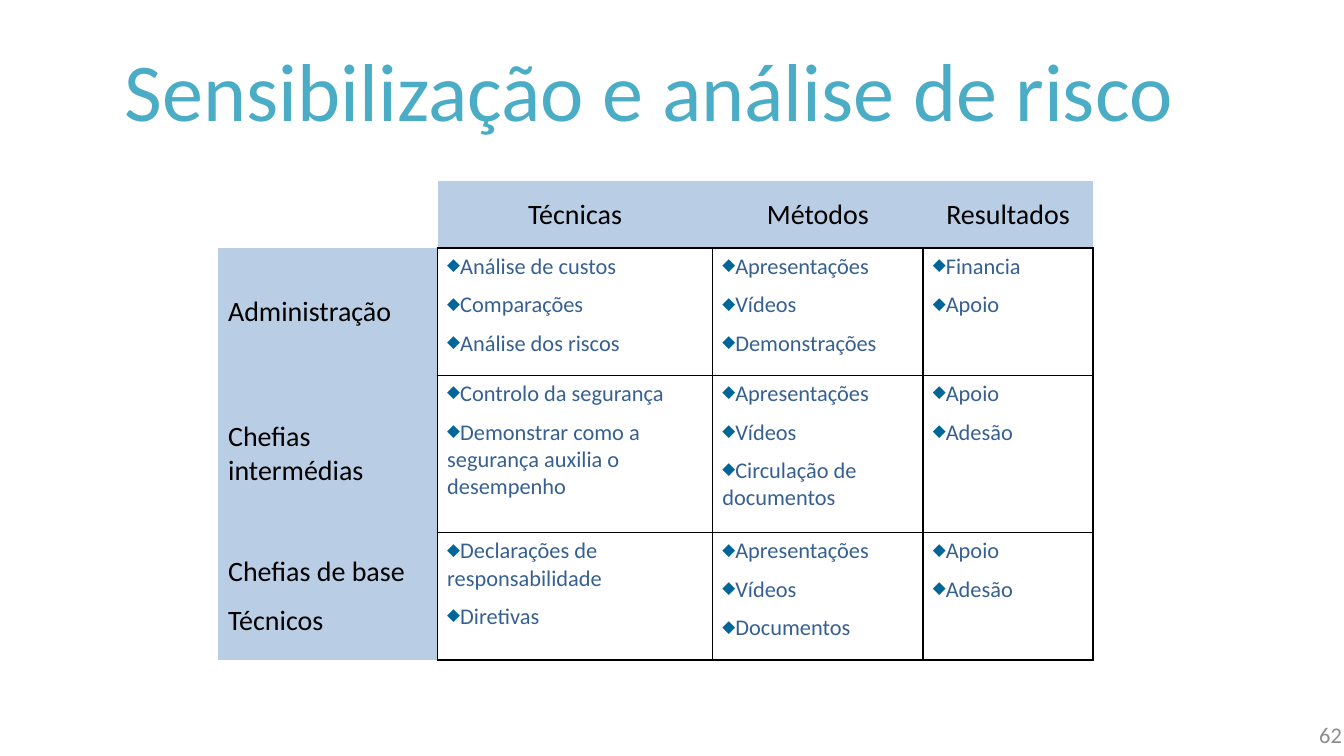
from dataclasses import dataclass

from lxml import etree
from pptx import Presentation
from pptx.dml.color import RGBColor
from pptx.enum.text import MSO_ANCHOR, PP_ALIGN
from pptx.oxml.ns import qn
from pptx.util import Pt

LEFT, CENTER, RIGHT = PP_ALIGN.LEFT, PP_ALIGN.CENTER, PP_ALIGN.RIGHT
TOP, MIDDLE = MSO_ANCHOR.TOP, MSO_ANCHOR.MIDDLE


@dataclass(frozen=True)
class Theme:
    font: str = "Calibri"
    title: str = "4BACC6"
    label: str = "000000"
    body: str = "376092"
    bullet: str = "006699"
    band: str = "B9CDE5"
    line: str = "000000"
    number: str = "8C8C8C"
    title_size: float = 44
    label_size: float = 15
    body_size: float = 12


THEME = Theme()

COLS = [117.4, 147.4, 112.8, 91]
ROWS = [36, 68.2, 84.2, 68.3]
GRID = [
    [[], ["Técnicas"], ["Métodos"], ["Resultados"]],
    [["Administração"],
     ["Análise de custos", "Comparações", "Análise dos riscos"],
     ["Apresentações", "Vídeos", "Demonstrações"],
     ["Financia", "Apoio"]],
    [["Chefias intermédias"],
     ["Controlo da segurança",
      "Demonstrar como a segurança auxilia o desempenho"],
     ["Apresentações", "Vídeos", "Circulação de documentos"],
     ["Apoio", "Adesão"]],
    [["Chefias de base", "Técnicos"],
     ["Declarações de responsabilidade", "Diretivas"],
     ["Apresentações", "Vídeos", "Documentos"],
     ["Apoio", "Adesão"]],
]


def write(frame, lines, size, color, align):
    frame.word_wrap = True
    frame.text = "\n".join(lines)
    for para in frame.paragraphs:
        para.alignment = align
        for run in para.runs:
            run.font.name = THEME.font
            run.font.size = Pt(size)
            run.font.color.rgb = RGBColor.from_string(color)


def place(shape, box):
    shape.left, shape.top, shape.width, shape.height = map(Pt, box)


def add_bullet(para):
    props = para._p.get_or_add_pPr()
    props.set("marL", "0")
    props.set("indent", "0")
    tint = etree.SubElement(props, qn("a:buClr"))
    etree.SubElement(tint, qn("a:srgbClr"), val=THEME.bullet)
    etree.SubElement(props, qn("a:buSzPct"), val="75000")
    etree.SubElement(props, qn("a:buChar"), char="◆")


def set_edges(cell, drawn):
    props = cell._tc.get_or_add_tcPr()
    for side in "LRTB":
        edge = etree.SubElement(props, qn(f"a:ln{side}"), w=str(Pt(1)))
        if side in drawn:
            fill = etree.SubElement(edge, qn("a:solidFill"))
            etree.SubElement(fill, qn("a:srgbClr"), val=THEME.line)
        else:
            etree.SubElement(edge, qn("a:noFill"))


def fill_cell(cell, lines, row, col):
    head, side = row == 0, col == 0
    label = head or side
    size = THEME.label_size if label else THEME.body_size
    color = THEME.label if label else THEME.body

    # Borders run only around the body cells
    if head:
        set_edges(cell, "" if side else "B")
    else:
        set_edges(cell, "R" if side else "LRTB")
    if label and lines:
        cell.fill.solid()
        cell.fill.fore_color.rgb = RGBColor.from_string(THEME.band)
    else:
        cell.fill.background()

    cell.margin_left = cell.margin_right = Pt(5.2)
    cell.margin_top = cell.margin_bottom = Pt(2.6)
    cell.vertical_anchor = MIDDLE if label else TOP
    write(cell.text_frame, lines, size, color, CENTER if head else LEFT)
    for para in cell.text_frame.paragraphs:
        para.space_before = Pt(size / 2)
        if not label:
            add_bullet(para)


def add_title(slide, box):
    title = slide.shapes.title
    place(title, box)
    title.text_frame.vertical_anchor = MIDDLE
    write(title.text_frame, ["Sensibilização e análise de risco"],
          THEME.title_size, THEME.title, CENTER)


def add_matrix(slide, box):
    left, top, width, height = box
    frame = slide.shapes.add_table(len(ROWS), len(COLS), *map(Pt, box))
    table = frame.table
    table.first_row = table.horz_banding = False
    # Tracks share the box in proportion
    for track, size in zip(table.columns, COLS):
        track.width = Pt(size * width / sum(COLS))
    for track, size in zip(table.rows, ROWS):
        track.height = Pt(size * height / sum(ROWS))
    for row, cells in enumerate(GRID):
        for col, lines in enumerate(cells):
            fill_cell(table.cell(row, col), lines, row, col)


def add_number(slide, box):
    text = slide.shapes.add_textbox(*map(Pt, box)).text_frame
    text.vertical_anchor = MIDDLE
    # The number sits close to the slide edge
    text.margin_right = Pt(7.2)
    write(text, ["62"], THEME.body_size, THEME.number, RIGHT)


def main():
    deck = Presentation()
    deck.slide_width, deck.slide_height = Pt(720), Pt(405)
    slide = deck.slides.add_slide(deck.slide_layouts[5])
    add_number(slide, (552, 382.3, 174, 22.3))
    add_title(slide, (36, 13.5, 624, 67.5))
    add_matrix(slide, (117, 97, 468.6, 256.7))
    deck.save("out.pptx")


if __name__ == "__main__":
    main()
